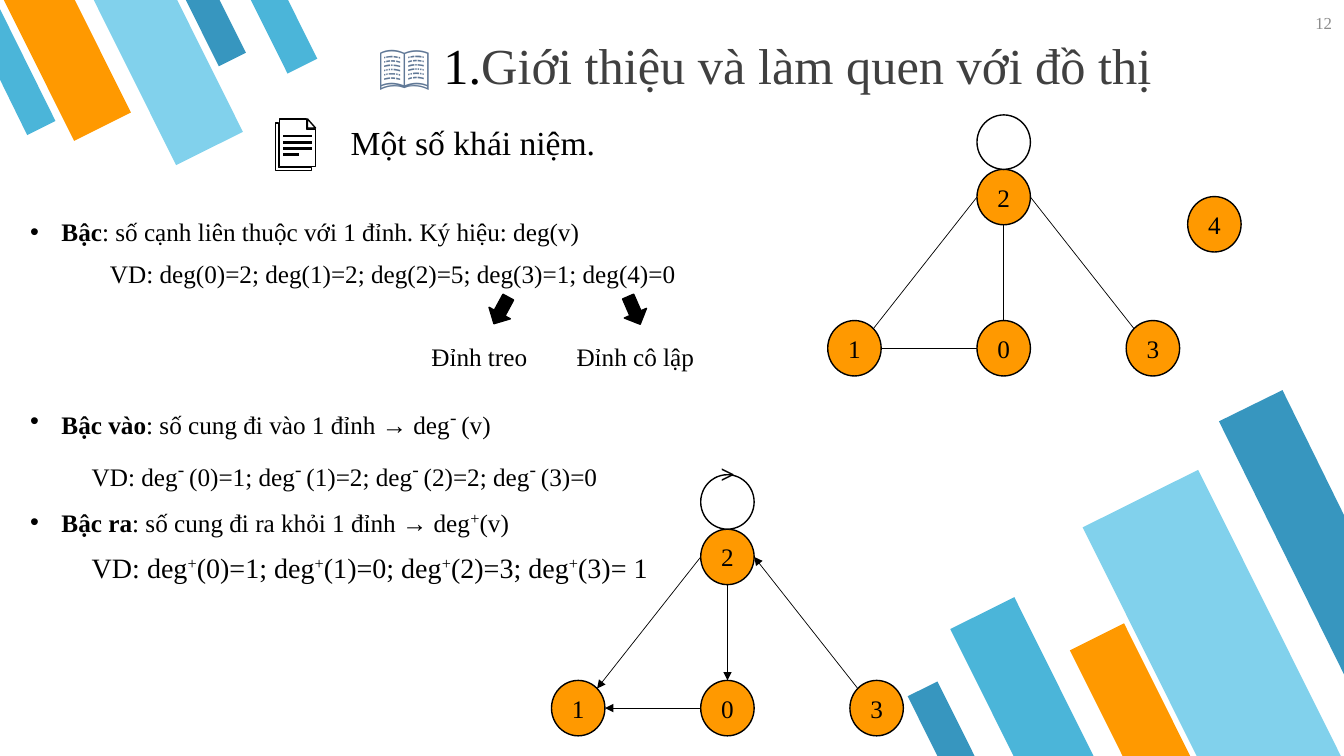
from math import cos, radians, sin

from lxml.etree import SubElement
from pptx import Presentation
from pptx.dml.color import RGBColor
from pptx.enum.shapes import MSO_CONNECTOR, MSO_SHAPE
from pptx.enum.text import MSO_ANCHOR, MSO_AUTO_SIZE, PP_ALIGN
from pptx.oxml.ns import qn
from pptx.util import Inches, Pt

FONT = "Times New Roman"
COLORS = {"black": "000000", "white": "FFFFFF", "orange": "FF9900", "teal": "4BB5D9",
          "sky": "81D1EC", "blue": "3796BF", "book": "607896", "title": "404040",
          "number": "8C8C8C"}

# Content
TITLE = [("📖 ", "book"), ("1.", "black"), ("Giới thiệu và làm quen với đồ thị", "title")]
# Bold lead, text, size, superscript size, left indent; pieces between bars are superscript
DEGREE = [
    ("Bậc", ": số cạnh liên thuộc với 1 đỉnh. Ký hiệu: deg(v)", 18, 18, 0.31),
    ("", "VD: deg(0)=2; deg(1)=2; deg(2)=5; deg(3)=1; deg(4)=0", 18, 18, 0.79),
]
IN_OUT_DEGREE = [
    ("Bậc vào", ": số cung đi vào 1 đỉnh → deg|- |(v)", 18, 24, 0.31),
    ("", "VD: deg|- |(0)=1; deg|- |(1)=2; deg|- |(2)=2; deg|- |(3)=0", 18, 24, 0.61),
    ("Bậc ra", ": số cung đi ra khỏi 1 đỉnh → deg|+|(v)", 18, 20, 0.31),
    ("", "VD: deg|+|(0)=1; deg|+|(1)=0; deg|+|(2)=3; deg|+|(3)= 1", 20, 20, 0.61),
]
# Text, left, top, width, height, size, colour, alignment
LABELS = [
    ("12", 12.51, 0.08, 0.8, 0.4, 12, "number", PP_ALIGN.RIGHT),
    ("Một số khái niệm.", 3.38, 1.16, 3.45, 0.5, 24, "black", PP_ALIGN.LEFT),
    ("Đỉnh treo", 4.18, 3.34, 1.3, 0.4, 18, "black", PP_ALIGN.LEFT),
    ("Đỉnh cô lập", 5.62, 3.34, 1.5, 0.4, 18, "black", PP_ALIGN.LEFT),
]
POINTERS = [(4.85, 28.4), (6.17, 336.5)]

# Graphs: node offsets from node 2, and edges between angles on the node rims
NODE_W, NODE_H = 0.53, 0.55
NODES = {"2": (0, 0), "1": (-1.48, 1.5), "0": (0, 1.5), "3": (1.48, 1.5)}
ISOLATED = {"4": (2.09, 0.27)}
EDGES = [("2", 180, "1", -45), ("2", 90, "0", -90), ("0", 180, "1", 0), ("3", 225, "2", 0)]

# Corner bars: left, top, width, height, colour
BARS = {
    153.5: [(9.78, 5.99, 0.71, 1.76, "teal"), (11.38, 4.78, 1.28, 3.18, "sky"),
            (10.91, 6.24, 0.6, 1.48, "orange"), (9.17, 6.79, 0.33, 0.83, "blue")],
    333.5: [(1.99, -0.11, 0.3, 0.74, "blue"), (0.35, -0.24, 0.63, 1.58, "orange"),
            (1.3, -0.26, 0.74, 1.83, "sky"), (2.65, -0.13, 0.33, 0.83, "teal")],
}
EDGE_BARS = [
    ("blue", [(12.72, 3.87), (12.09, 4.18), (13.33, 6.69), (13.33, 5.11)]),
    ("teal", [(0.27, 1.34), (0.55, 1.2), (0, 0.09), (0, 0.79)]),
]
DOCUMENT_SHEETS = [
    [(2.73, 1.22), (2.76, 1.22), (2.76, 1.66), (3.09, 1.66), (3.09, 1.69), (2.73, 1.69)],
    [(2.77, 1.18), (3.04, 1.18), (3.04, 1.28), (3.13, 1.28), (3.13, 1.65), (2.77, 1.65)],
    [(3.05, 1.18), (3.13, 1.27), (3.05, 1.27)],
]
DOCUMENT_LINE_ENDS = [3.09, 3.09, 3.09, 2.97]

presentation = Presentation()
presentation.slide_width, presentation.slide_height = Inches(13.33), Inches(7.5)
slide = presentation.slides.add_slide(presentation.slide_layouts[3])
shapes = slide.shapes


def rgb(color):
    return RGBColor.from_string(COLORS[color])


def paint(shape, fill, line=None):
    shape.shadow.inherit = False
    shape.fill.solid()
    shape.fill.fore_color.rgb = rgb(fill)
    if line:
        shape.line.color.rgb = rgb(line)
        shape.line.width = Pt(1)
    else:
        shape.line.fill.background()


def style(run, size, color="black", bold=False):
    run.font.name, run.font.size, run.font.bold = FONT, Pt(size), bold
    run.font.color.rgb = rgb(color)


def add_preset(preset, left, top, width, height, fill, line=None, rotation=0):
    shape = shapes.add_shape(preset, Inches(left), Inches(top), Inches(width), Inches(height))
    shape.rotation = rotation
    paint(shape, fill, line)
    return shape


def add_outline(points, fill, line=None):
    corners = [(Inches(x), Inches(y)) for x, y in points]
    builder = shapes.build_freeform(*corners[0])
    builder.add_line_segments(corners[1:], close=True)
    paint(builder.convert_to_shape(), fill, line)


def add_line(start, end, width, arrow=False):
    line = shapes.add_connector(MSO_CONNECTOR.STRAIGHT, *map(Inches, (*start, *end)))
    line.line.color.rgb = rgb("black")
    line.line.width = Pt(width)
    if arrow:
        SubElement(line.line._get_or_add_ln(), qn("a:tailEnd"), type="triangle")
    SubElement(line._element.spPr, qn("a:effectLst"))


def add_label(text, left, top, width, height, size, color, align, bold=False):
    frame = shapes.add_textbox(*map(Inches, (left, top, width, height))).text_frame
    frame.word_wrap = True
    frame.text = text
    frame.paragraphs[0].alignment = align
    style(frame.paragraphs[0].runs[0], size, color, bold)


def place(holder, left, top, width, height):
    holder.left, holder.top = Inches(left), Inches(top)
    holder.width, holder.height = Inches(width), Inches(height)
    holder.text_frame.auto_size = MSO_AUTO_SIZE.NONE
    holder.text_frame.word_wrap = True
    return holder.text_frame


def fill_list(frame, items):
    for index, (lead, text, size, raised_size, indent) in enumerate(items):
        paragraph = frame.add_paragraph() if index else frame.paragraphs[0]
        paragraph.line_spacing = 1.07
        paragraph.space_before, paragraph.space_after = Pt(5), Pt(1.5)
        properties = paragraph._p.get_or_add_pPr()
        properties.set("marL", str(Inches(indent)))
        properties.set("indent", str(-Inches(indent) if lead else 0))
        if lead:
            SubElement(properties, qn("a:buFont"), typeface="Arial")
            SubElement(properties, qn("a:buChar"), char="•")
            run = paragraph.add_run()
            run.text = lead
            style(run, size, bold=True)
        else:
            SubElement(properties, qn("a:buNone"))
        for position, piece in enumerate(text.split("|")):
            raised = position % 2 == 1
            run = paragraph.add_run()
            run.text = piece
            style(run, raised_size if raised else size)
            if raised:
                run.font._element.set("baseline", "30000")


def add_graph(left, top, nodes, directed):
    def rim(name, angle):
        x, y = nodes[name]
        return (left + x + NODE_W / 2 * (1 + cos(radians(angle))),
                top + y + NODE_H / 2 * (1 + sin(radians(angle))))

    for name, (x, y) in nodes.items():
        node = add_preset(MSO_SHAPE.FLOWCHART_CONNECTOR, left + x, top + y,
                          NODE_W, NODE_H, "orange", "black")
        node.text_frame.text = name
        node.text_frame.vertical_anchor = MSO_ANCHOR.MIDDLE
        node.text_frame.paragraphs[0].alignment = PP_ALIGN.CENTER
        style(node.text_frame.paragraphs[0].runs[0], 18)
    for source, leave, target, arrive in EDGES:
        add_line(rim(source, leave), rim(target, arrive), 0.5, directed)
    add_preset(MSO_SHAPE.OVAL, left, top - 0.54, NODE_W, 0.54, "white", "black")
    if directed:
        add_label(">", left + 0.1, top - 0.75, 0.45, 0.4, 18, "black", PP_ALIGN.LEFT, True)


# Corner decoration
for rotation, bars in BARS.items():
    for left, top, width, height, color in bars:
        bar = add_preset(MSO_SHAPE.FLOWCHART_MANUAL_INPUT, left, top, width, height,
                         color, rotation=rotation)
        bar._element.spPr.xfrm.set("flipH", "1")
for color, corners in EDGE_BARS:
    add_outline(corners, color)

# Title and lists
title, degree, in_out_degree = slide.placeholders
title_frame = place(title, 3.65, 0.29, 8.69, 0.71)
title_frame.vertical_anchor = MSO_ANCHOR.TOP
title_frame.paragraphs[0].alignment = PP_ALIGN.LEFT
for text, color in TITLE:
    run = title_frame.paragraphs[0].add_run()
    run.text = text
    style(run, 36, color)
fill_list(place(degree, 0.2, 2.08, 7.06, 0.85), DEGREE)
fill_list(place(in_out_degree, 0.2, 3.9, 6.67, 2), IN_OUT_DEGREE)

# Document icon
for sheet in DOCUMENT_SHEETS:
    add_outline(sheet, "white", "black")
for row, end in enumerate(DOCUMENT_LINE_ENDS):
    y = 1.35 + 0.06 * row
    add_line((2.81, y), (end, y), 2)

# Labels and pointers
for label in LABELS:
    add_label(*label)
for left, rotation in POINTERS:
    add_preset(MSO_SHAPE.DOWN_ARROW, left, 2.93, 0.24, 0.3, "black", "black", rotation)

# Undirected and directed graphs
add_graph(9.69, 1.68, NODES | ISOLATED, directed=False)
add_graph(6.95, 5.25, NODES, directed=True)

presentation.save("out.pptx")
